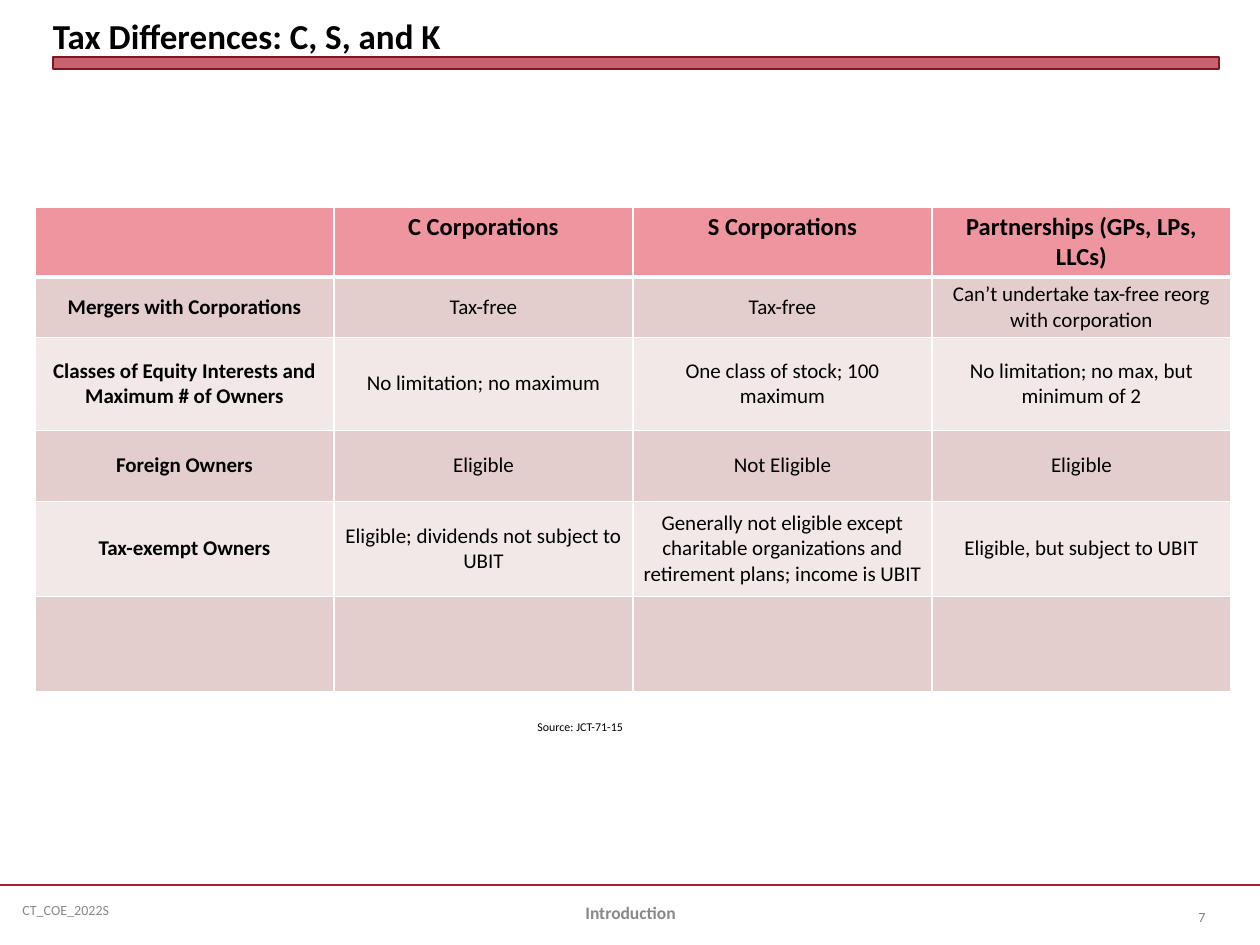
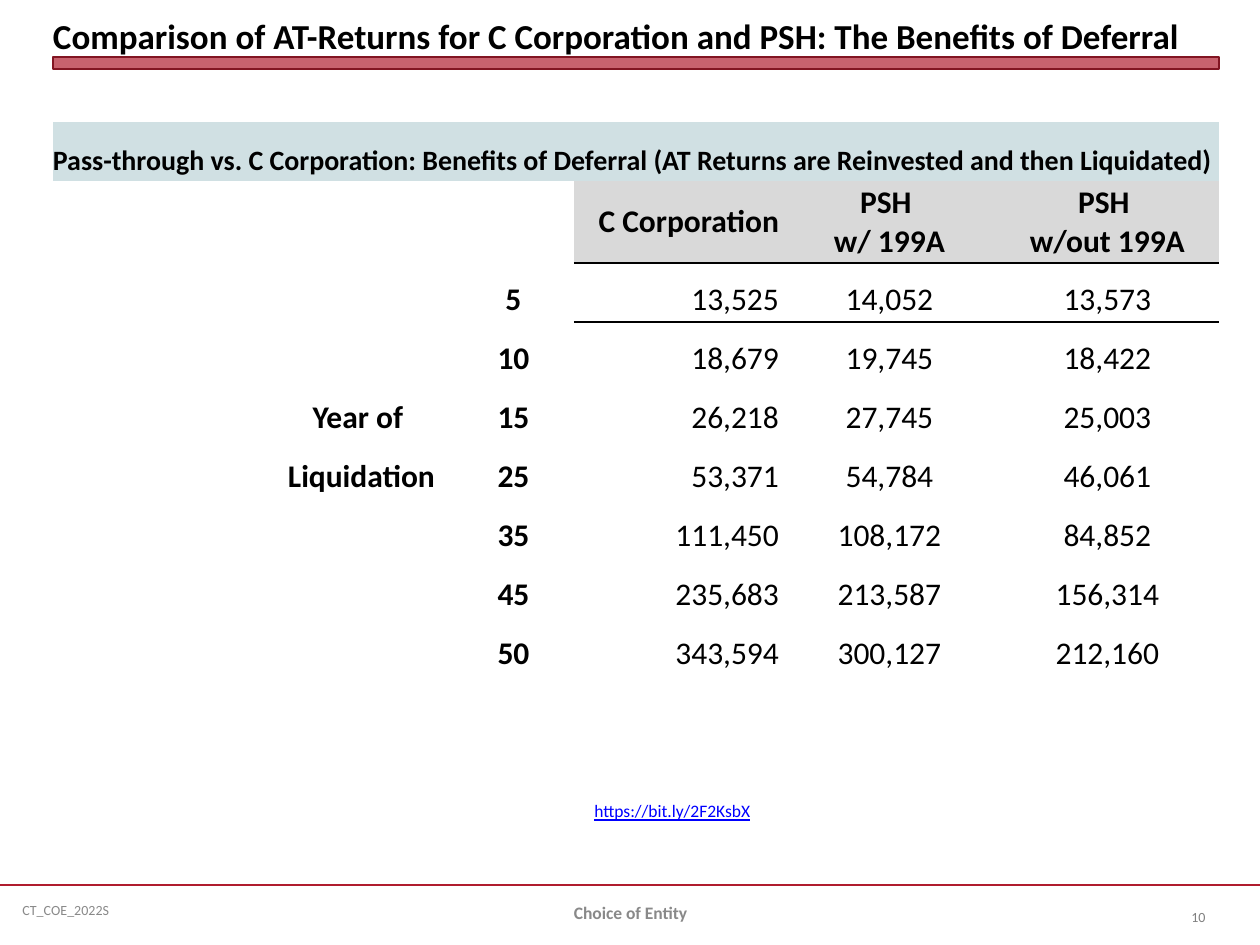
from dataclasses import dataclass
from typing import Optional

from lxml.etree import SubElement
from pptx import Presentation
from pptx.dml.color import RGBColor
from pptx.enum.shapes import MSO_CONNECTOR, MSO_SHAPE
from pptx.enum.text import MSO_ANCHOR as ANCHOR, PP_ALIGN as ALIGN
from pptx.oxml.ns import qn
from pptx.util import Emu, Pt

PX_PER_INCH = 126
SLIDE_W, SLIDE_H = 1260, 945
FONT = "Calibri"
BLACK, WHITE = "000000", "FFFFFF"
RED, DARK_RED = "B01C2E", "821522"
FOOTER_GREY, NUMBER_GREY = "898989", "808080"
PINK, BAND_DARK, BAND_LIGHT = "EE95A0", "E4CDCD", "F2E8E8"
PALE_BLUE, LIGHT_GREY, LINK_BLUE = "D0E0E3", "D9D9D9", "0000FF"
NO_TABLE_STYLE = "{2D5ABB26-0587-4C30-8999-92F81FD0307C}"


@dataclass(frozen=True)
class Box:
    x: int
    y: int
    w: int
    h: int

    def emu(self) -> tuple:
        return px(self.x), px(self.y), px(self.w), px(self.h)


@dataclass(frozen=True)
class TextStyle:
    size: float
    color: str = BLACK
    bold: bool = False
    underline: bool = False
    align: ALIGN = ALIGN.LEFT
    anchor: ANCHOR = ANCHOR.TOP


@dataclass(frozen=True)
class CellLook:
    """Fill, margins in px, and (colour, points) borders keyed by side L, R, T, B."""
    fill: Optional[str] = None
    margins: tuple = (4, 3)
    borders: tuple = ()


TITLE = TextStyle(20, bold=True, anchor=ANCHOR.BOTTOM)
FOOTER = TextStyle(8, FOOTER_GREY, anchor=ANCHOR.MIDDLE)
SECTION = TextStyle(10, FOOTER_GREY, bold=True, align=ALIGN.CENTER, anchor=ANCHOR.MIDDLE)
NUMBER = TextStyle(8, NUMBER_GREY, align=ALIGN.RIGHT, anchor=ANCHOR.MIDDLE)

TITLE_BOX = Box(53, 7, 1166, 50)
BAND_BOX = Box(53, 57, 1166, 12)
FOOTER_BOX = Box(10, 885, 325, 50)
SECTION_BOX = Box(431, 888, 399, 50)
NUMBER_BOX = Box(1155, 892, 63, 50)
FOOTER_LINE_Y = 885

TAX_ROWS = (
    ("", "C Corporations", "S Corporations", "Partnerships (GPs, LPs, LLCs)"),
    ("Mergers with Corporations", "Tax-free", "Tax-free",
     "Can’t undertake tax-free reorg with corporation"),
    ("Classes of Equity Interests and Maximum # of Owners", "No limitation; no maximum",
     "One class of stock; 100 maximum", "No limitation; no max, but minimum of 2"),
    ("Foreign Owners", "Eligible", "Not Eligible", "Eligible"),
    ("Tax-exempt Owners", "Eligible; dividends not subject to UBIT",
     "Generally not eligible except charitable organizations and retirement plans; "
     "income is UBIT", "Eligible, but subject to UBIT"),
    ("", "", "", ""),
)
RETURN_HEADS = ("", "", "", "C Corporation", "PSH \nw/ 199A", "PSH \nw/out 199A")
RETURN_ROWS = (
    ("", "5", "13,525", "14,052", "13,573"),
    ("", "10", "18,679", "19,745", "18,422"),
    ("Year of ", "15", "26,218", "27,745", "25,003"),
    ("Liquidation", "25", "53,371", "54,784", "46,061"),
    ("", "35", "111,450", "108,172", "84,852"),
    ("", "45", "235,683", "213,587", "156,314"),
    ("", "50", "343,594", "300,127", "212,160"),
)


def px(n: int) -> Emu:
    return Emu(round(n * 914400 / PX_PER_INCH))


def rgb(color: str) -> RGBColor:
    return RGBColor.from_string(color)


def write(tf, text: str, style: TextStyle) -> None:
    """Fill a text frame's first paragraph, one run per line."""
    p = tf.paragraphs[0]
    p.alignment = style.align
    for i, line in enumerate(text.split("\n")):
        if i:
            p.add_line_break()
        r = p.add_run()
        r.text = line
        font = r.font
        font.name, font.size, font.bold = FONT, Pt(style.size), style.bold
        font.color.rgb = rgb(style.color)
        if style.underline:
            font.underline = True


def add_text(s, box: Box, text: str, style: TextStyle, wrap: bool = True,
             inset: bool = True) -> None:
    tf = s.shapes.add_textbox(*box.emu()).text_frame
    tf.word_wrap = wrap
    tf.vertical_anchor = style.anchor
    if not inset:
        tf.margin_left = tf.margin_top = tf.margin_right = tf.margin_bottom = 0
    write(tf, text, style)


def add_footer_line(s) -> None:
    line = s.shapes.add_connector(MSO_CONNECTOR.STRAIGHT, 0, px(FOOTER_LINE_Y),
                                  px(SLIDE_W), px(FOOTER_LINE_Y))
    line.line.color.rgb = rgb(RED)
    line.line.width = Pt(1.25)
    SubElement(line._element.spPr, qn("a:effectLst"))


def add_title_band(s) -> None:
    sp = s.shapes.add_shape(MSO_SHAPE.RECTANGLE, *BAND_BOX.emu())
    sp.shadow.inherit = False
    sp.fill.solid()
    sp.fill.fore_color.rgb = rgb(RED)
    color = sp._element.spPr.find(qn("a:solidFill"))[0]
    SubElement(color, qn("a:alpha"), val="69000")
    sp.line.color.rgb = rgb(DARK_RED)
    sp.line.width = 0


def start_slide(prs, title: str, section: str, number: int):
    """Add a blank slide with the shared title, band and footer."""
    s = prs.slides.add_slide(prs.slide_layouts[6])
    add_footer_line(s)
    add_text(s, FOOTER_BOX, "CT_COE_2022S", FOOTER)
    add_title_band(s)
    add_text(s, TITLE_BOX, title, TITLE, inset=False)
    add_text(s, SECTION_BOX, section, SECTION)
    add_text(s, NUMBER_BOX, str(number), NUMBER)
    return s


def add_plain_table(s, x: int, y: int, widths: list, heights: list):
    """Add a table without any built-in style."""
    box = Box(x, y, sum(widths), sum(heights))
    frame = s.shapes.add_table(len(heights), len(widths), *box.emu())
    table = frame.table
    table.first_row = table.horz_banding = False
    for style_id in frame._element.iter(qn("a:tableStyleId")):
        style_id.text = NO_TABLE_STYLE
    for column, width in zip(table.columns, widths):
        column.width = px(width)
    for row, height in zip(table.rows, heights):
        row.height = px(height)
    return table


def fill_cell(cell, text: str, style: TextStyle, look: CellLook) -> None:
    tc_pr = cell._tc.get_or_add_tcPr()
    for side, color, points in look.borders:
        ln = SubElement(tc_pr, qn(f"a:ln{side}"), w=str(Pt(points)))
        SubElement(SubElement(ln, qn("a:solidFill")), qn("a:srgbClr"), val=color)
    if look.fill:
        cell.fill.solid()
        cell.fill.fore_color.rgb = rgb(look.fill)
    else:
        cell.fill.background()
    cell.margin_left = cell.margin_right = px(look.margins[0])
    cell.margin_top = cell.margin_bottom = px(look.margins[1])
    cell.vertical_anchor = style.anchor
    if text:
        write(cell.text_frame, text, style)


def white_borders(top: float, bottom: float) -> tuple:
    return (("L", WHITE, 1), ("R", WHITE, 1), ("T", WHITE, top), ("B", WHITE, bottom))


def tax_differences(prs) -> None:
    s = start_slide(prs, "Tax Differences: C, S, and K", "Introduction", 7)
    table = add_plain_table(s, 35, 207, [299] * 4, [70, 60, 93, 71, 95, 95])
    for i, row in enumerate(TAX_ROWS):
        if i == 0:
            fill, borders = PINK, white_borders(1, 3)
        else:
            fill = BAND_DARK if i % 2 else BAND_LIGHT
            borders = white_borders(3 if i == 1 else 1, 1)
        for j, text in enumerate(row):
            style = TextStyle(12 if i else 14, bold=i == 0 or j == 0, align=ALIGN.CENTER,
                              anchor=ANCHOR.MIDDLE if i else ANCHOR.TOP)
            fill_cell(table.cell(i, j), text, style, CellLook(fill, (9, 5), borders))
    add_text(s, Box(525, 713, 174, 26), "Source: JCT-71-15", TextStyle(6.8))


def deferral_benefits(prs) -> None:
    s = start_slide(
        prs, "Comparison of AT-Returns for C Corporation and PSH: The Benefits of Deferral",
        "Choice of Entity", 10)
    table = add_plain_table(s, 53, 122, [217, 183, 121, 209, 213, 223],
                            [59, 82] + [59] * len(RETURN_ROWS))
    table.cell(0, 0).merge(table.cell(0, 5))
    fill_cell(table.cell(0, 0),
              "Pass-through vs. C Corporation: Benefits of Deferral "
              "(AT Returns are Reinvested and then Liquidated)",
              TextStyle(16, bold=True, anchor=ANCHOR.BOTTOM), CellLook(PALE_BLUE, (0, 3)))
    rows = [RETURN_HEADS] + [("",) + row for row in RETURN_ROWS]
    for i, row in enumerate(rows):
        for j, text in enumerate(row):
            is_head, is_value = i == 0, j >= 3
            style = TextStyle(18, bold=is_head or not is_value,
                              align=ALIGN.RIGHT if j == 3 else ALIGN.CENTER,
                              anchor=ANCHOR.MIDDLE if is_head else ANCHOR.BOTTOM)
            look = CellLook()
            if is_value and is_head:
                look = CellLook(LIGHT_GREY, borders=(("B", BLACK, 0.75),))
            elif is_value and i == 1:
                look = CellLook(borders=(("T", BLACK, 0.75),))
            fill_cell(table.cell(i + 1, j), text, style, look)
    add_text(s, Box(582, 794, 224, 34), "https://bit.ly/2F2KsbX",
             TextStyle(10, LINK_BLUE, underline=True), wrap=False)


def main() -> None:
    prs = Presentation()
    prs.slide_width, prs.slide_height = px(SLIDE_W), px(SLIDE_H)
    tax_differences(prs)
    deferral_benefits(prs)
    prs.save("out.pptx")


if __name__ == "__main__":
    main()
